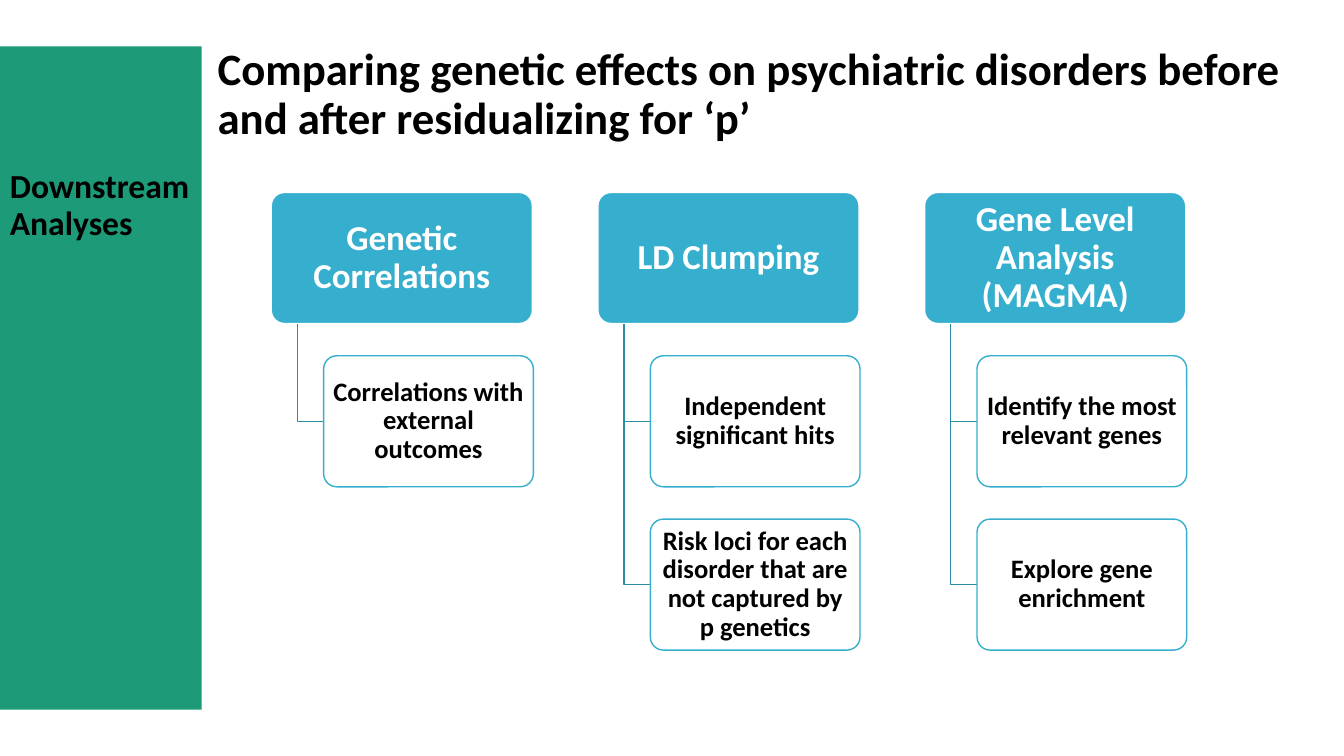
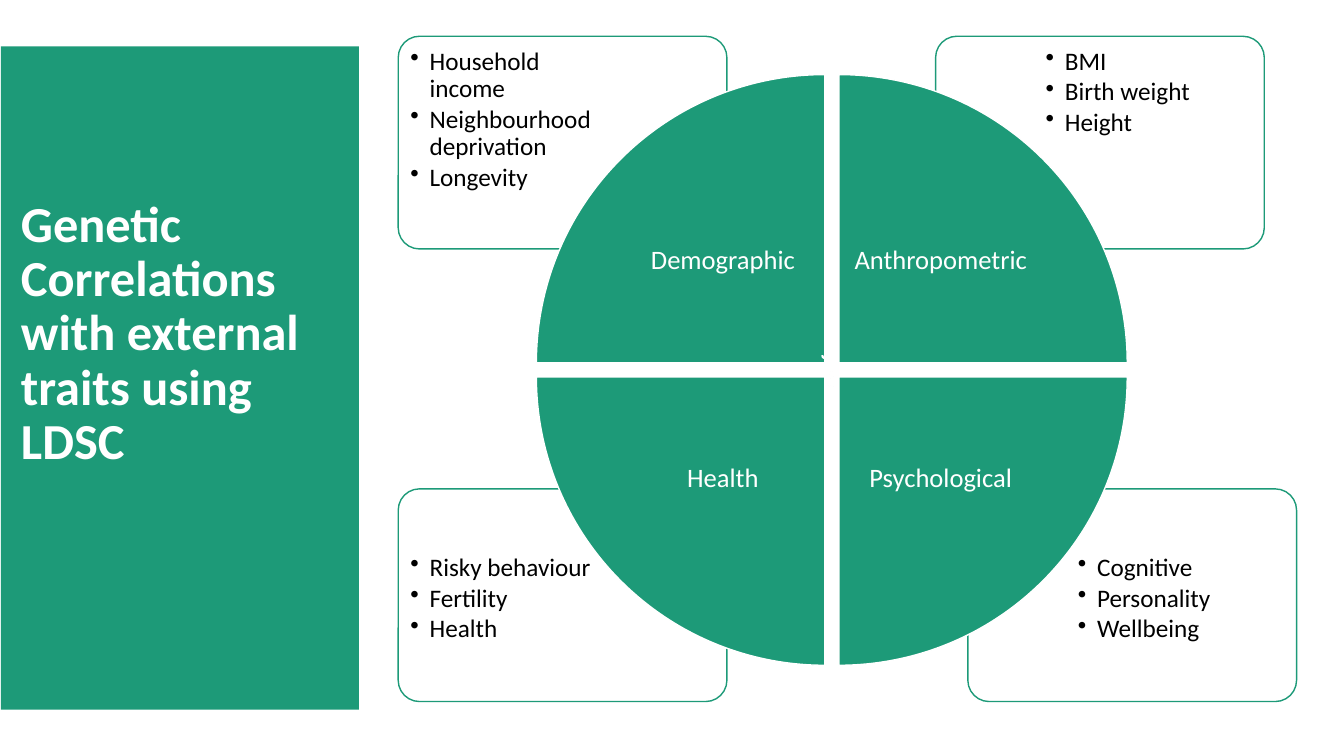
from dataclasses import dataclass

from lxml import etree
from pptx import Presentation
from pptx.dml.color import RGBColor
from pptx.enum.shapes import MSO_SHAPE
from pptx.enum.text import MSO_ANCHOR, PP_ALIGN
from pptx.oxml.ns import qn
from pptx.util import Pt

RECT, ROUND = MSO_SHAPE.RECTANGLE, MSO_SHAPE.ROUNDED_RECTANGLE
WEDGE, CYCLE = MSO_SHAPE.PIE_WEDGE, MSO_SHAPE.CIRCULAR_ARROW
TOP, MIDDLE = MSO_ANCHOR.TOP, MSO_ANCHOR.MIDDLE
LEFT, CENTER = PP_ALIGN.LEFT, PP_ALIGN.CENTER
EMU_PER_PX = 9144  # 100 px to the inch


@dataclass(frozen=True)
class Theme:
    font: str = "Calibri"
    black: str = "000000"
    white: str = "FFFFFF"
    green: str = "1D9A78"
    blue: str = "36AFCE"
    branch: str = "2B8CA5"
    pale: str = "ACCABE"
    side_title: int = 36
    title: int = 32
    heading: int = 25
    side_label: int = 24
    label: int = 19
    item: int = 18
    line: int = 1
    spacing: float = 0.9
    item_gap: float = 2.5


THEME = Theme()

TITLE = "Comparing genetic effects on psychiatric disorders before and after residualizing for ‘p’"
SIDE_LABEL = "Downstream Analyses"
ANALYSES = [
    ("Genetic Correlations", ["Correlations with external outcomes"]),
    ("LD Clumping", [
        "Independent significant hits",
        "Risk loci for each disorder that are not captured by p genetics",
    ]),
    ("Gene Level Analysis (MAGMA)", [
        "Identify the most relevant genes",
        "Explore gene enrichment",
    ]),
]

SIDE_TITLE = "Genetic Correlations with external traits using LDSC"
# name, column, row, rotation, left edge of its card, traits
TRAIT_GROUPS = [
    ("Demographic", 0, 0, 0, 395,
     ["Household income", "Neighbourhood deprivation", "Longevity"]),
    ("Anthropometric", 1, 0, 90, 928, ["BMI", "Birth weight", "Height"]),
    ("Psychological", 1, 1, 180, 960, ["Cognitive", "Personality", "Wellbeing"]),
    ("Health", 0, 1, 270, 395, ["Risky behaviour", "Fertility", "Health"]),
]
# box, rotation
CYCLE_ARROWS = [((815, 350, 6, 6), 0), ((822, 368, 5, 30), 180)]


def px(value):
    return value * EMU_PER_PX


def rgb(color):
    return RGBColor.from_string(color)


def add_shape(slide, kind, box, fill, line=None, rotation=0):
    shape = slide.shapes.add_shape(kind, *map(px, box))
    shape.shadow.inherit = False
    shape.fill.solid()
    shape.fill.fore_color.rgb = rgb(fill)
    if line:
        shape.line.color.rgb = rgb(line)
        shape.line.width = Pt(THEME.line)
    else:
        shape.line.fill.background()
    if kind == ROUND:
        shape.adjustments[0] = 0.1
    shape.rotation = rotation
    return shape


def add_bullet(paragraph):
    properties = paragraph._p.get_or_add_pPr()
    properties.set("marL", str(px(19)))
    properties.set("indent", str(-px(19)))
    etree.SubElement(properties, qn("a:buChar")).set("char", "•")


def write(shape, texts, size, color, bold=False, align=LEFT, anchor=MIDDLE,
          insets=(10, 5, 10, 5), bullets=False):
    """Fill a shape with paragraphs; insets are left, top, right, bottom."""
    frame = shape.text_frame
    frame.word_wrap = True
    frame.vertical_anchor = anchor
    (frame.margin_left, frame.margin_top,
     frame.margin_right, frame.margin_bottom) = map(px, insets)
    for index, text in enumerate(texts):
        paragraph = frame.add_paragraph() if index else frame.paragraphs[0]
        if bullets:
            add_bullet(paragraph)
            paragraph.space_after = Pt(THEME.item_gap)
        paragraph.alignment = align
        paragraph.line_spacing = THEME.spacing
        run = paragraph.add_run()
        run.text = text
        run.font.name = THEME.font
        run.font.size = Pt(size)
        run.font.bold = bold
        run.font.color.rgb = rgb(color)


def add_text(slide, box, text, size, color, **style):
    write(slide.shapes.add_textbox(*map(px, box)), [text], size, color, **style)


def add_side_band(slide, left, width):
    add_shape(slide, RECT, (left, 46, width, 658), THEME.green)


def add_branch(slide, left, top, right, bottom):
    """Draw a line down from a heading and across to one of its steps."""
    builder = slide.shapes.build_freeform(px(left), px(top))
    builder.add_line_segments(
        [(px(left), px(bottom)), (px(right), px(bottom))], close=False)
    branch = builder.convert_to_shape()
    branch.shadow.inherit = False
    branch.fill.background()
    branch.line.color.rgb = rgb(THEME.branch)
    branch.line.width = Pt(THEME.line)


def build_analyses(slide):
    first_left, top, column_pitch, row_pitch = 269, 191, 324, 162
    head_width, step_width, height = 259, 208, 130
    trunk_offset, step_offset = 26, 52

    for column, (heading, steps) in enumerate(ANALYSES):
        left = first_left + column * column_pitch
        head = add_shape(slide, ROUND, (left, top, head_width, height),
                         THEME.blue, THEME.white)
        write(head, [heading], THEME.heading, THEME.white, bold=True,
              align=CENTER, insets=(5, 3, 5, 3))
        for row, step in enumerate(steps, start=1):
            step_left = left + step_offset
            step_top = top + row * row_pitch
            add_branch(slide, left + trunk_offset, top + height,
                       step_left, step_top + height // 2)
            card = add_shape(slide, ROUND,
                             (step_left, step_top, step_width, height),
                             THEME.white, THEME.blue)
            write(card, [step], THEME.label, THEME.black, bold=True,
                  align=CENTER, insets=(4, 3, 4, 3))

    add_text(slide, (206, 42, 1078, 120), TITLE, THEME.title, THEME.black,
             bold=True, anchor=TOP)
    add_side_band(slide, 0, 200)
    add_text(slide, (0, 109, 200, 191), SIDE_LABEL, THEME.side_label,
             THEME.black, bold=True)


def build_traits(slide):
    wheel_left, wheel_top, pitch, wedge_size, label_size = 532, 74, 300, 286, 202
    card_tops, card_width, card_height = (36, 485), 326, 211
    near, far, lower = 6, 103, 59

    add_side_band(slide, 1, 355)
    add_text(slide, (11, 71, 345, 522), SIDE_TITLE, THEME.side_title,
             THEME.white, bold=True)

    for _, column, row, _, card_left, traits in TRAIT_GROUPS:
        card = add_shape(slide, ROUND,
                         (card_left, card_tops[row], card_width, card_height),
                         THEME.white, THEME.green)
        sides = (far, near) if column else (near, far)
        write(card, traits, THEME.item, THEME.black, anchor=TOP, bullets=True,
              insets=(sides[0], lower if row else near, sides[1], near))

    for name, column, row, rotation, _, _ in TRAIT_GROUPS:
        left = wheel_left + column * pitch
        top = wheel_top + row * pitch
        add_shape(slide, WEDGE, (left, top, wedge_size, wedge_size),
                  THEME.green, THEME.white, rotation)
        to_center = wedge_size - label_size
        add_text(slide,
                 (left + (1 - column) * to_center, top + (1 - row) * to_center,
                  label_size, label_size),
                 name, THEME.label, THEME.white, align=CENTER,
                 insets=(15, 15, 15, 15))

    for box, rotation in CYCLE_ARROWS:
        arrow = add_shape(slide, CYCLE, box, THEME.pale, THEME.white, rotation)
        arrow._element.spPr.find(qn("a:xfrm")).set("flipV", "1")


def main():
    deck = Presentation()
    deck.slide_width, deck.slide_height = px(1333), px(750)
    blank = deck.slide_layouts[6]
    for build in (build_analyses, build_traits):
        build(deck.slides.add_slide(blank))
    deck.save("out.pptx")


if __name__ == "__main__":
    main()
